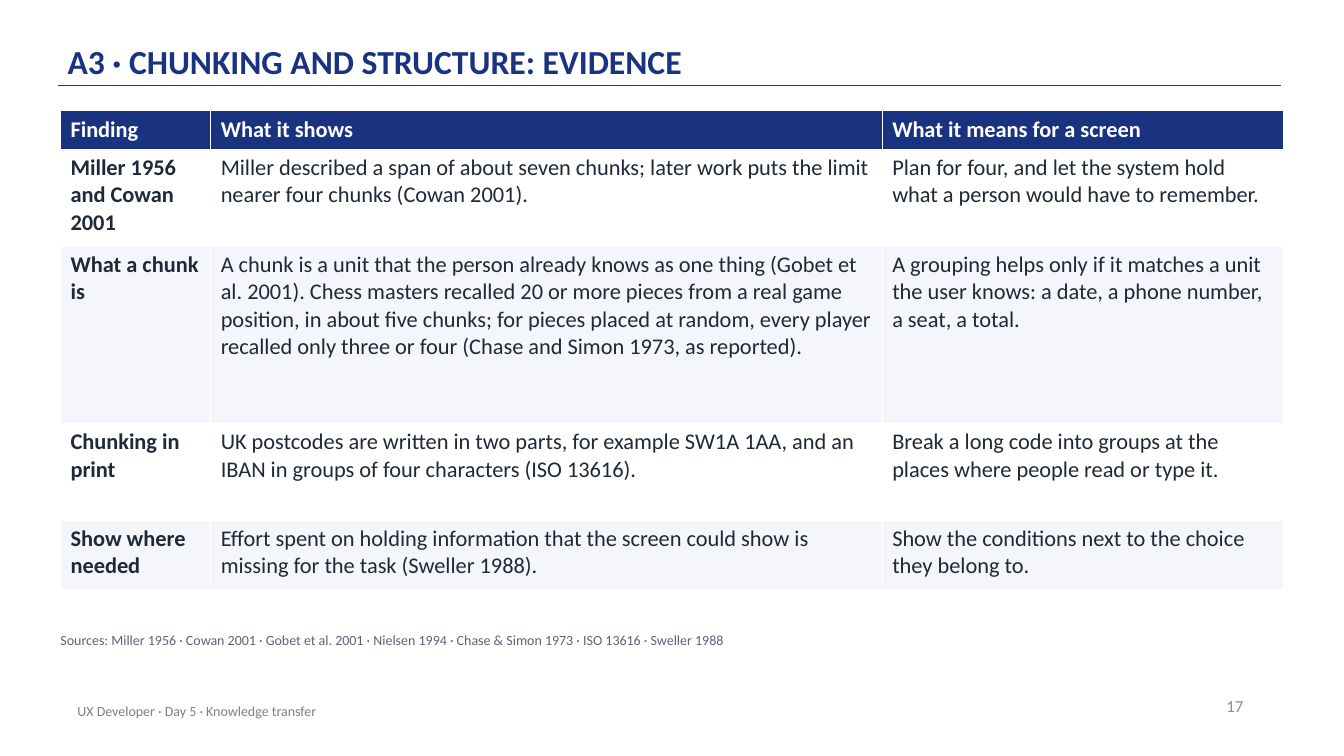
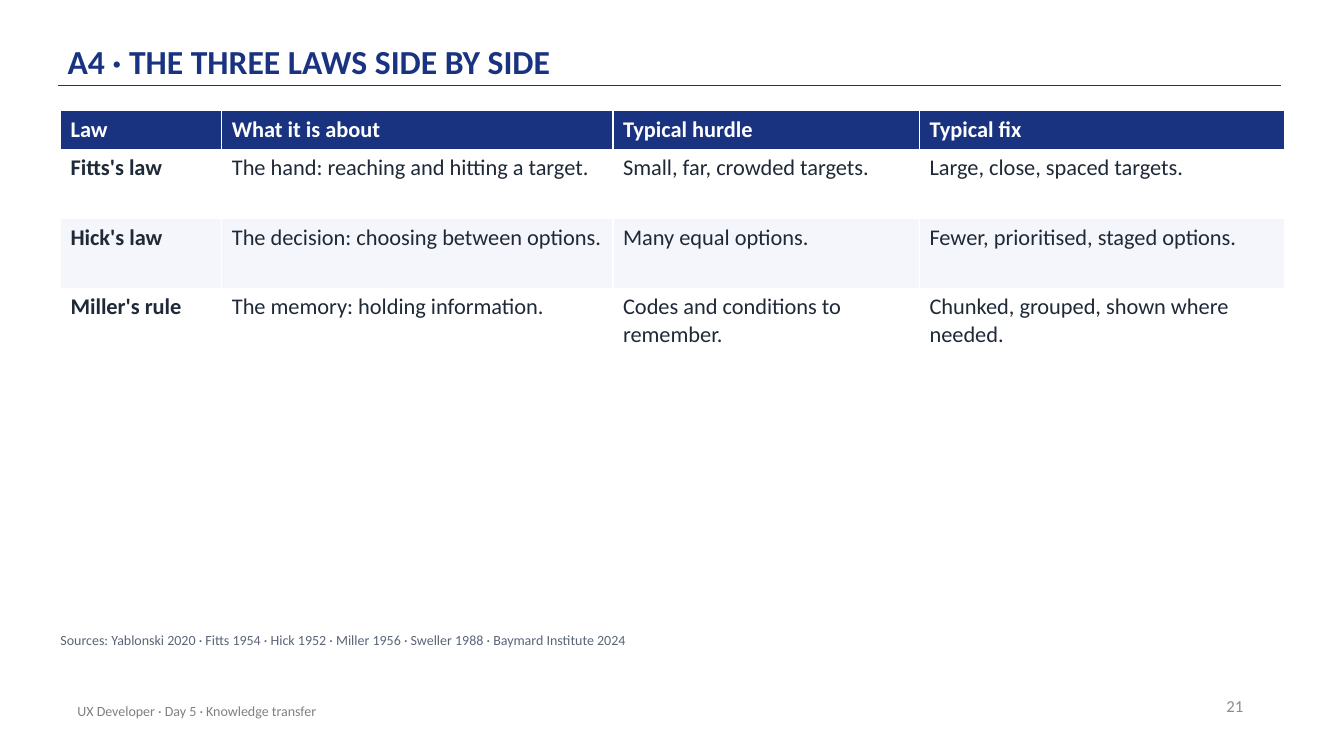
from lxml import etree
from pptx import Presentation
from pptx.dml.color import RGBColor
from pptx.enum.shapes import MSO_CONNECTOR
from pptx.enum.text import MSO_ANCHOR, MSO_AUTO_SIZE, PP_ALIGN
from pptx.oxml.ns import qn
from pptx.util import Inches, Pt

STRAIGHT = MSO_CONNECTOR.STRAIGHT
TOP, MIDDLE, BOTTOM = MSO_ANCHOR.TOP, MSO_ANCHOR.MIDDLE, MSO_ANCHOR.BOTTOM
LEFT, RIGHT = PP_ALIGN.LEFT, PP_ALIGN.RIGHT
FIT_SHAPE = MSO_AUTO_SIZE.SHAPE_TO_FIT_TEXT

FONT = "Calibri"
COLORS = {
    "navy": "1A3381",
    "ink": "1F2937",
    "source": "5B6577",
    "footer": "808080",
    "number": "8C8C8C",
    "white": "FFFFFF",
    "band": "F4F6FB",
}
DEFAULT_INSETS = (0.1, 0.05, 0.1, 0.05)


def color(name):
    return RGBColor.from_string(COLORS[name])


def write(frame, text, *, size, ink, bold=False, align=LEFT,
          line_spacing=None, space_after=None):
    """Put one formatted paragraph into a text frame."""
    para = frame.paragraphs[0]
    para.alignment = align
    if line_spacing is not None:
        para.line_spacing = line_spacing
    if space_after is not None:
        para.space_after = Pt(space_after)
    span = para.add_run()
    span.text = text
    span.font.name = FONT
    span.font.size = Pt(size)
    span.font.bold = bold
    span.font.color.rgb = color(ink)


class LessonDeck:
    """The deck's style and the page being built."""

    def __init__(self):
        self.deck = Presentation()
        self.deck.slide_width = Inches(13.33)
        self.deck.slide_height = Inches(7.5)
        self.page = None

    def add_page(self, title, number):
        self.page = self.deck.slides.add_slide(self.deck.slide_layouts[6])
        self.rule(0.58, 12.71, 0.85)
        self.text(title, 0.67, 0.12, 11, 0.72, anchor=BOTTOM,
                  insets=(0, 0.03, 0, 0.03), size=24, ink="navy", bold=True,
                  line_spacing=0.9)
        self.text(str(number), 9.43, 6.8, 3, 0.4, anchor=MIDDLE,
                  size=12, ink="number", align=RIGHT)
        self.text("UX Developer · Day 5 · Knowledge transfer",
                  0.67, 6.85, 6.7, 0.4, anchor=MIDDLE, size=10, ink="footer")

    def rule(self, left, right, top):
        line = self.page.shapes.add_connector(
            STRAIGHT, Inches(left), Inches(top), Inches(right), Inches(top))
        line.line.color.rgb = color("navy")
        line.line.width = Pt(1)
        etree.SubElement(line._element.spPr, qn("a:effectLst"))

    def text(self, text, left, top, width, height, *, anchor=TOP,
             insets=DEFAULT_INSETS, grow=False, **style):
        box = self.page.shapes.add_textbox(
            Inches(left), Inches(top), Inches(width), Inches(height))
        frame = box.text_frame
        frame.word_wrap = True
        frame.vertical_anchor = anchor
        (frame.margin_left, frame.margin_top,
         frame.margin_right, frame.margin_bottom) = map(Inches, insets)
        if grow:
            frame.auto_size = FIT_SHAPE
        write(frame, text, **style)

    def table(self, rows, widths, heights):
        table = self.page.shapes.add_table(
            len(rows), len(widths), Inches(0.6), Inches(1.1),
            Inches(sum(widths)), Inches(sum(heights))).table
        table.horz_banding = False
        for column, width in zip(table.columns, widths):
            column.width = Inches(width)
        for row, height in zip(table.rows, heights):
            row.height = Inches(height)
        for r, texts in enumerate(rows):
            header = r == 0
            fill = "navy" if header else "white" if r % 2 else "band"
            for c, text in enumerate(texts):
                cell = table.cell(r, c)
                cell.fill.solid()
                cell.fill.fore_color.rgb = color(fill)
                write(cell.text_frame, text, size=16,
                      ink="white" if header else "ink",
                      bold=header or c == 0)

    def sources(self, names):
        self.text("Sources: " + " · ".join(names), 0.6, 6.27, 12.1, 0.3,
                  insets=(0, 0, 0, 0), grow=True, size=10, ink="source",
                  space_after=6)


def main():
    lesson = LessonDeck()

    # Evidence on chunking
    lesson.add_page("A3 · CHUNKING AND STRUCTURE: EVIDENCE", 17)
    lesson.table(
        [
            ("Finding", "What it shows", "What it means for a screen"),
            ("Miller 1956 and Cowan 2001",
             "Miller described a span of about seven chunks; later work puts "
             "the limit nearer four chunks (Cowan 2001).",
             "Plan for four, and let the system hold what a person would "
             "have to remember."),
            ("What a chunk is",
             "A chunk is a unit that the person already knows as one thing "
             "(Gobet et al. 2001). Chess masters recalled 20 or more pieces "
             "from a real game position, in about five chunks; for pieces "
             "placed at random, every player recalled only three or four "
             "(Chase and Simon 1973, as reported).",
             "A grouping helps only if it matches a unit the user knows: "
             "a date, a phone number, a seat, a total."),
            ("Chunking in print",
             "UK postcodes are written in two parts, for example SW1A 1AA, "
             "and an IBAN in groups of four characters (ISO 13616).",
             "Break a long code into groups at the places where people read "
             "or type it."),
            ("Show where needed",
             "Effort spent on holding information that the screen could show "
             "is missing for the task (Sweller 1988).",
             "Show the conditions next to the choice they belong to."),
        ],
        widths=[1.49, 6.66, 3.98],
        heights=[0.38, 0.96, 1.76, 0.96, 0.69])
    lesson.sources(["Miller 1956", "Cowan 2001", "Gobet et al. 2001",
                    "Nielsen 1994", "Chase & Simon 1973", "ISO 13616",
                    "Sweller 1988"])

    # Comparison of the laws
    lesson.add_page("A4 · THE THREE LAWS SIDE BY SIDE", 21)
    lesson.table(
        [
            ("Law", "What it is about", "Typical hurdle", "Typical fix"),
            ("Fitts's law", "The hand: reaching and hitting a target.",
             "Small, far, crowded targets.", "Large, close, spaced targets."),
            ("Hick's law", "The decision: choosing between options.",
             "Many equal options.", "Fewer, prioritised, staged options."),
            ("Miller's rule", "The memory: holding information.",
             "Codes and conditions to remember.",
             "Chunked, grouped, shown where needed."),
        ],
        widths=[1.6, 3.88, 3.04, 3.62],
        heights=[0.38] + [0.69] * 3)
    lesson.sources(["Yablonski 2020", "Fitts 1954", "Hick 1952",
                    "Miller 1956", "Sweller 1988", "Baymard Institute 2024"])

    lesson.deck.save("out.pptx")


if __name__ == "__main__":
    main()
